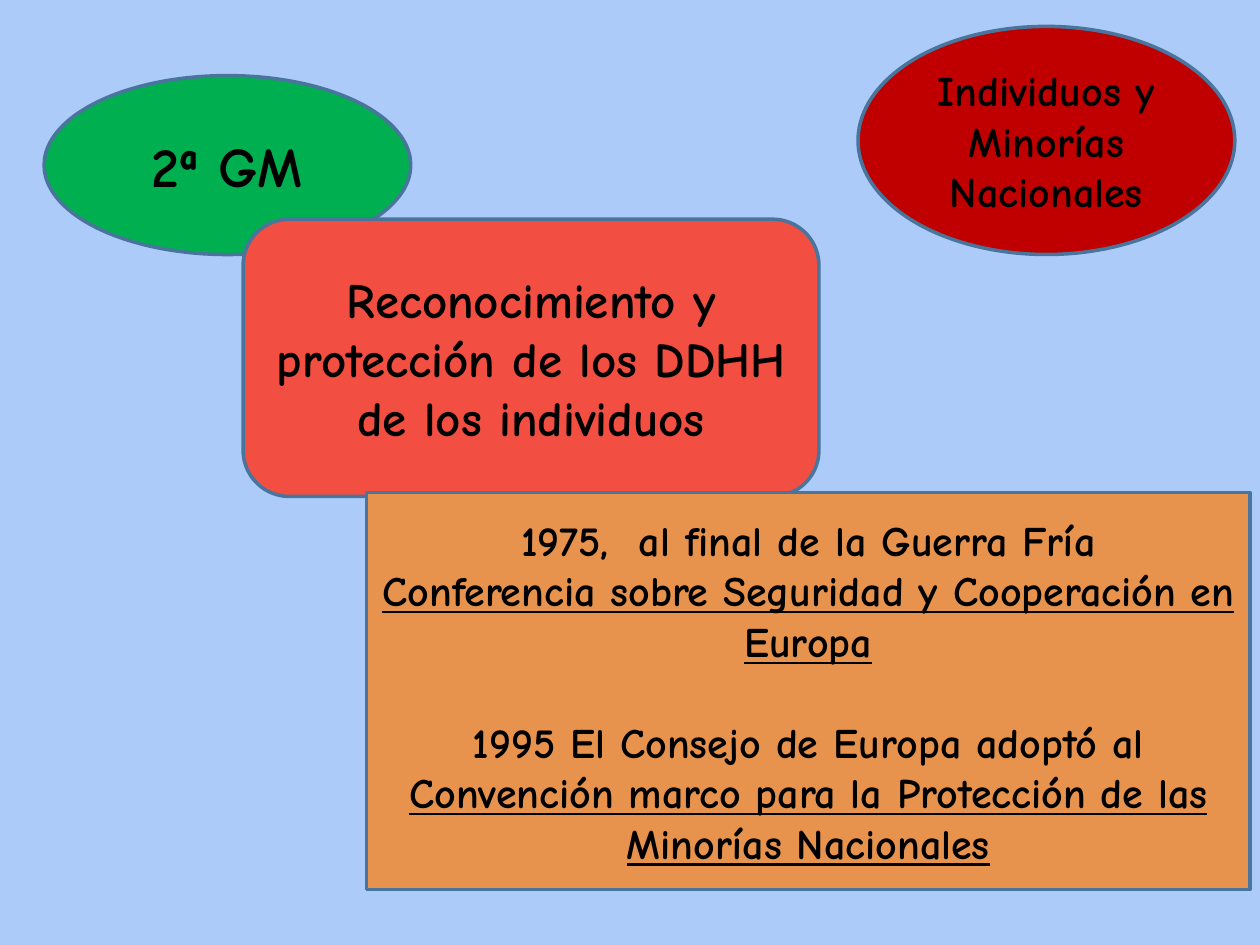
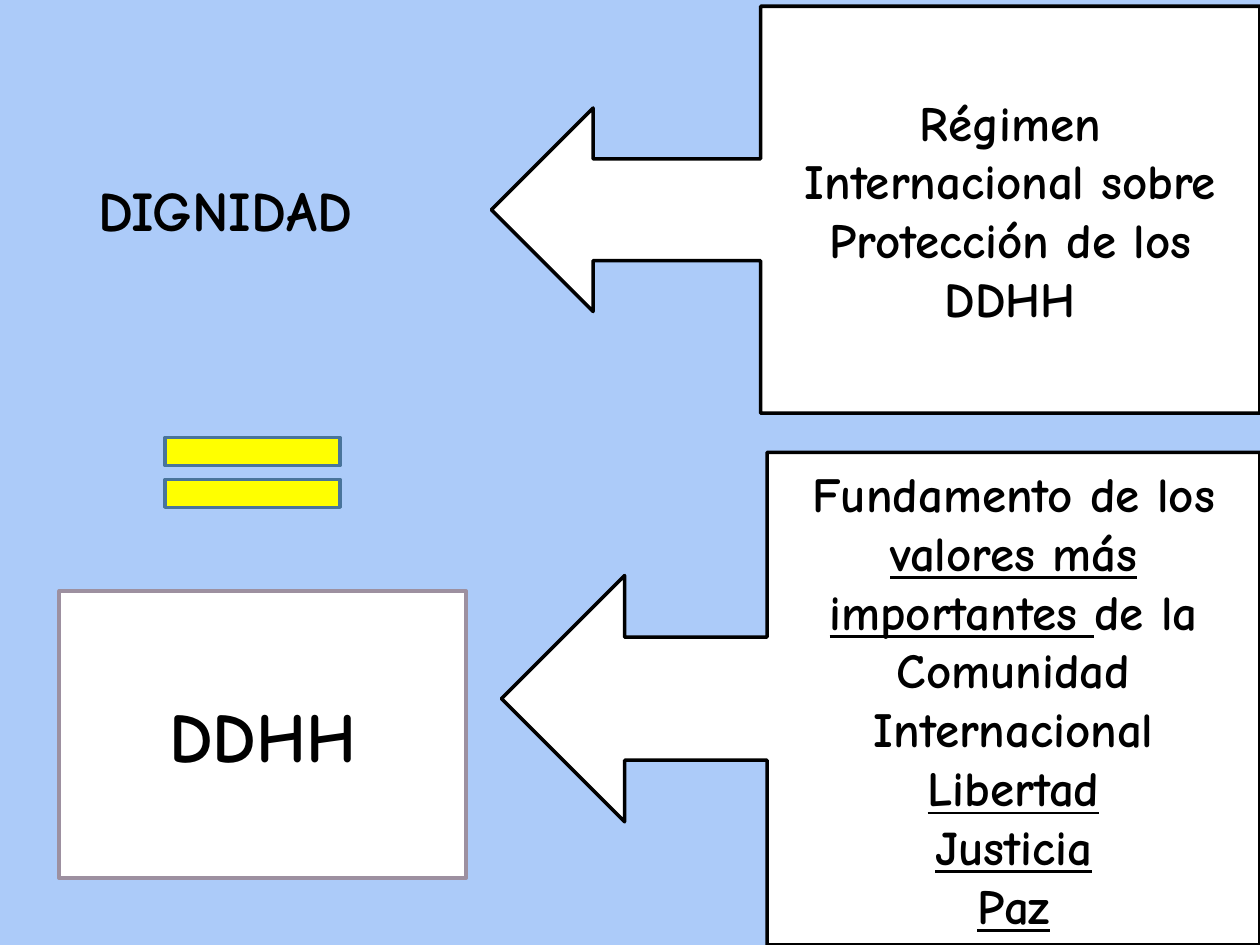
from pptx import Presentation
from pptx.dml.color import RGBColor
from pptx.enum.shapes import MSO_SHAPE as Kind
from pptx.enum.text import MSO_ANCHOR as Anchor, MSO_AUTO_SIZE as Fit, PP_ALIGN as Align
from pptx.util import Inches, Pt

# Shared look
FONT = "Comic Neue"
SKY, BLACK, WHITE = "ACCBF9", "000000", "FFFFFF"
STEEL, MAUVE = "49749B", "9D90A0"

# Text: a list of paragraphs, each a list of runs; "_" opens an underlined run
WAR = [["2ª GM"]]
RIGHTS = [["Reconocimiento y protección de los DDHH de los individuos"]]
TREATIES = [
    ["1975,  al final de la Guerra Fría"],
    ["_Conferencia sobre Seguridad y Cooperación en Europa"],
    ["1995 El Consejo de Europa adoptó al ",
     "_Convención marco para la Protección de las Minorías Nacionales"],
]
GROUPS = [["Individuos y Minorías"], ["Nacionales"]]
REGIME = [["Régimen Internacional sobre Protección de los DDHH"]]
VALUES = [
    ["Fundamento de los ", "_valores más importantes ",
     "de la Comunidad Internacional"],
    ["_Libertad"], ["_Justicia"], ["_Paz"],
]

# Shapes: kind, (left, top, width, height), fill, line, text, size
# A kind of None is a plain text box
SLIDES = [
    [
        (Kind.OVAL, (0.35, 0.6, 2.91, 1.42), "00B050", STEEL, WAR, 32),
        (Kind.ROUNDED_RECTANGLE, (1.93, 1.74, 4.57, 2.2), "F24F42", STEEL, RIGHTS, 28),
        (Kind.RECTANGLE, (2.91, 3.91, 7.01, 3.15), "E7934D", STEEL, TREATIES, 24),
        (Kind.OVAL, (6.81, 0.21, 2.99, 1.81), "C00000", STEEL, GROUPS, 24),
    ],
    [
        (None, (0.68, 1.34, 2.83, 0.64), None, None, [["DIGNIDAD"]], 32),
        (Kind.LEFT_ARROW_CALLOUT, (3.9, 0.05, 6.1, 3.23), WHITE, BLACK, REGIME, 28),
        (Kind.MATH_EQUAL, (1.06, 3.28, 1.89, 0.94), "FFFF00", STEEL, [], 0),
        (Kind.RECTANGLE, (0.47, 4.69, 3.23, 2.28), WHITE, MAUVE, [["DDHH"]], 40),
        (Kind.LEFT_ARROW_CALLOUT, (3.98, 3.59, 6.02, 3.91), WHITE, BLACK, VALUES, 28),
    ],
]


def paint(fill, color):
    fill.solid()
    fill.fore_color.rgb = RGBColor.from_string(color)


def write(frame, text, size, align):
    frame.word_wrap = True
    for i, runs in enumerate(text):
        para = frame.add_paragraph() if i else frame.paragraphs[0]
        para.alignment = align
        font = para.font
        font.name, font.size, font.bold = FONT, Pt(size), True
        paint(font.fill, BLACK)
        for part in runs:
            run = para.add_run()
            run.text = part.lstrip("_")
            if part.startswith("_"):
                run.font.underline = True


def draw(slide, kind, box, fill, line, text, size):
    place = [Inches(n) for n in box]
    if kind is None:
        shape = slide.shapes.add_textbox(*place)
        write(shape.text_frame, text, size, Align.LEFT)
        shape.text_frame.auto_size = Fit.SHAPE_TO_FIT_TEXT
        return shape
    shape = slide.shapes.add_shape(kind, *place)
    shape.shadow.inherit = False
    paint(shape.fill, fill)
    paint(shape.line.fill, line)
    shape.line.width = Pt(2)
    shape.text_frame.vertical_anchor = Anchor.MIDDLE
    write(shape.text_frame, text, size, Align.CENTER)
    return shape


def main():
    prs = Presentation()
    prs.slide_width, prs.slide_height = Inches(10), Inches(7.5)
    paint(prs.slide_master.background.fill, SKY)
    blank = prs.slide_layouts[6]
    for parts in SLIDES:
        slide = prs.slides.add_slide(blank)
        for part in parts:
            shape = draw(slide, *part)
            # One open line between the two treaties
            if part[4] is TREATIES:
                shape.text_frame.paragraphs[2].space_before = Pt(29)
    prs.save("out.pptx")


if __name__ == "__main__":
    main()
